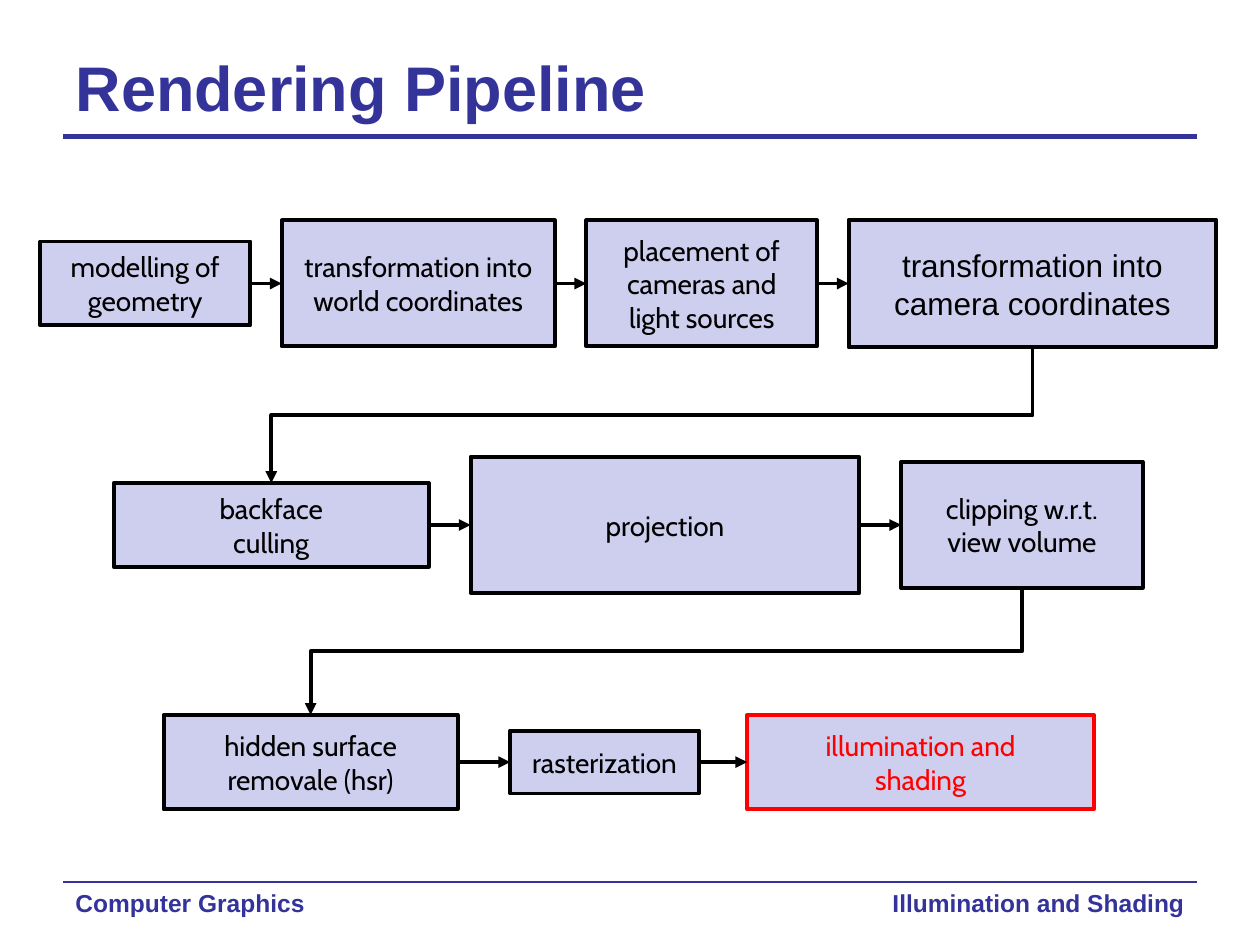
from dataclasses import dataclass

from lxml import etree
from pptx import Presentation
from pptx.dml.color import RGBColor
from pptx.enum.shapes import MSO_CONNECTOR, MSO_SHAPE
from pptx.enum.text import MSO_ANCHOR, MSO_AUTO_SIZE, PP_ALIGN
from pptx.oxml.ns import qn
from pptx.util import Pt

STRAIGHT, ELBOW = MSO_CONNECTOR.STRAIGHT, MSO_CONNECTOR.ELBOW
RECT = MSO_SHAPE.RECTANGLE
MIDDLE, TOP = MSO_ANCHOR.MIDDLE, MSO_ANCHOR.TOP
LEFT, CENTER, RIGHT = PP_ALIGN.LEFT, PP_ALIGN.CENTER, PP_ALIGN.RIGHT
# Connection sites of a rectangle
SITE_LEFT, SITE_BOTTOM, SITE_RIGHT = 1, 2, 3


@dataclass(frozen=True)
class Theme:
    navy: RGBColor = RGBColor(0x33, 0x33, 0x99)
    lilac: RGBColor = RGBColor(0xCE, 0xCE, 0xEF)
    black: RGBColor = RGBColor(0, 0, 0)
    red: RGBColor = RGBColor(0xFF, 0, 0)
    head_font: str = "Arial"
    body_font: str = "Cabin"
    title_size: float = 36
    footer_size: float = 14
    stage_size: float = 16
    large_size: float = 18
    stroke: float = 2.25


T = Theme()


@dataclass(frozen=True)
class Stage:
    """One pipeline step; all lengths in points."""
    text: str
    left: float
    width: float
    height: float
    color: RGBColor = T.black
    font: str = T.body_font
    size: float = T.stage_size


@dataclass(frozen=True)
class Row:
    """Steps that share one vertical centre."""
    middle: float
    stages: tuple[Stage, ...]


ROWS = (
    Row(162, (
        Stage("modelling of\ngeometry", 23, 120, 48),
        Stage("transformation into\nworld coordinates", 161, 156, 72),
        Stage("placement of\ncameras and\nlight sources", 335, 132, 72),
        Stage("transformation into\ncamera coordinates", 485, 210, 73,
              font=T.head_font, size=T.large_size),
    )),
    Row(300, (
        Stage("backface\nculling", 65, 180, 48),
        Stage("projection", 269, 222, 78),
        Stage("clipping w.r.t.\nview volume", 515, 138, 72),
    )),
    Row(435.5, (
        Stage("hidden surface\nremovale (hsr)", 93.5, 168, 54),
        Stage("rasterization", 291.5, 108, 36),
        Stage("illumination and\nshading", 427, 198, 54, color=T.red),
    )),
)


def write(tf, text: str, size: float, color: RGBColor, font: str,
          align=LEFT, anchor=TOP, bold: bool = False) -> None:
    tf.auto_size = MSO_AUTO_SIZE.NONE
    tf.vertical_anchor = anchor
    p = tf.paragraphs[0]
    p.alignment = align
    for i, line in enumerate(text.split("\n")):
        if i:
            p.add_line_break()
        r = p.add_run()
        r.text = line
        r.font.size, r.font.name, r.font.bold = Pt(size), font, bold
        r.font.color.rgb = color


def style_line(line, color: RGBColor, width: float) -> None:
    line.fill.solid()
    line.fill.fore_color.rgb = color
    line.width = Pt(width)


def add_line(s, kind, x1=0.0, y1=0.0, x2=0.0, y2=0.0,
             color: RGBColor = T.black, width: float = T.stroke):
    c = s.shapes.add_connector(kind, Pt(x1), Pt(y1), Pt(x2), Pt(y2))
    style_line(c.line, color, width)
    etree.SubElement(c._element.spPr, qn("a:effectLst"))
    return c


def add_arrow(s, kind, start, start_site: int, end, end_site: int):
    c = add_line(s, kind)
    c.begin_connect(start, start_site)
    c.end_connect(end, end_site)
    etree.SubElement(c.line._get_or_add_ln(), qn("a:tailEnd"), type="triangle")
    return c


def add_row_change(s, start, end) -> None:
    """Elbow from the bottom of one box to the top of another, lower left."""
    c = add_arrow(s, ELBOW, start, SITE_BOTTOM, end, 0)
    x1, y1 = start.left + start.width // 2, start.top + start.height
    x2, y2 = end.left + end.width // 2, end.top
    # A quarter turn makes the elbow leave and arrive vertically
    xfrm = c._element.spPr.find(qn("a:xfrm"))
    xfrm.attrib.pop("flipH", None)
    xfrm.set("rot", str(90 * 60000))
    c.width, c.height = y2 - y1, x1 - x2
    c.left = (x1 + x2 - c.width) // 2
    c.top = (y1 + y2 - c.height) // 2


def add_stage(s, stage: Stage, middle: float):
    sp = s.shapes.add_shape(RECT, Pt(stage.left), Pt(middle - stage.height / 2),
                            Pt(stage.width), Pt(stage.height))
    sp.shadow.inherit = False
    sp.fill.solid()
    sp.fill.fore_color.rgb = T.lilac
    style_line(sp.line, stage.color, T.stroke)
    sp.text_frame.word_wrap = False
    write(sp.text_frame, stage.text, stage.size, stage.color, stage.font,
          CENTER, MIDDLE)
    return sp


def add_footer(s, text: str, left: float, width: float, align) -> None:
    sp = s.shapes.add_textbox(Pt(left), Pt(504), Pt(width), Pt(25))
    sp.text_frame.word_wrap = True
    write(sp.text_frame, text, T.footer_size, T.navy, T.head_font, align,
          bold=True)


def main() -> None:
    prs = Presentation()
    prs.slide_width, prs.slide_height = Pt(720), Pt(540)
    s = prs.slides.add_slide(prs.slide_layouts[5])

    # Title
    title = s.shapes.title
    title.left, title.top = Pt(36), Pt(21.5)
    title.width, title.height = Pt(648), Pt(56)
    write(title.text_frame, "Rendering Pipeline", T.title_size, T.navy,
          T.head_font, LEFT, MIDDLE, bold=True)

    # Rules and footer
    for y, width in ((78, 3), (504, 1.5)):
        add_line(s, STRAIGHT, 36, y, 684, y, T.navy, width)
    add_footer(s, "Computer Graphics", 36, 270, LEFT)
    add_footer(s, "Illumination and Shading", 462, 222, RIGHT)

    # Pipeline steps
    rows = [[add_stage(s, st, row.middle) for st in row.stages] for row in ROWS]

    # Arrows within each row, then from row to row
    for boxes in rows:
        for start, end in zip(boxes, boxes[1:]):
            add_arrow(s, STRAIGHT, start, SITE_RIGHT, end, SITE_LEFT)
    for upper, lower in zip(rows, rows[1:]):
        add_row_change(s, upper[-1], lower[0])

    prs.save("out.pptx")


if __name__ == "__main__":
    main()
